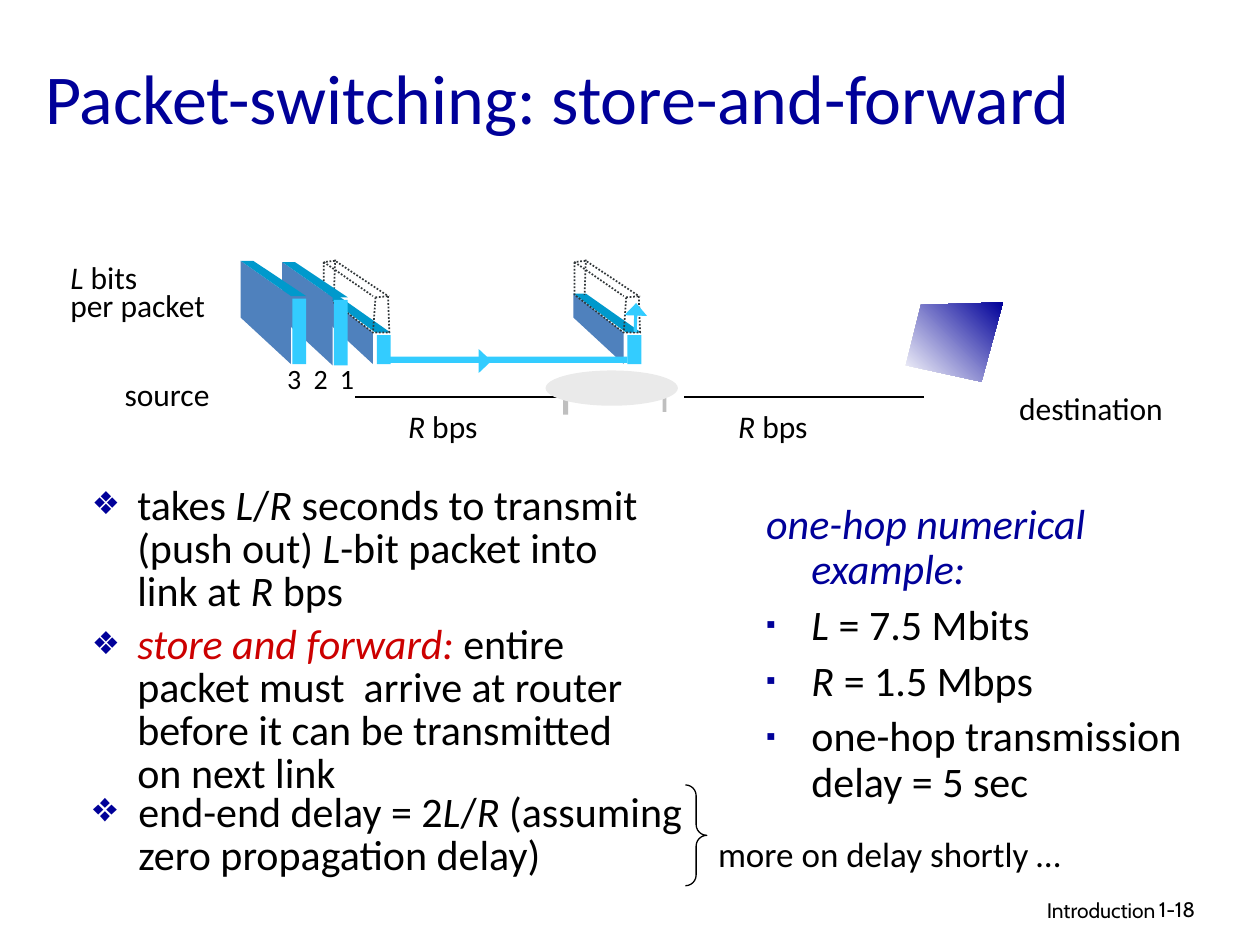
from lxml.etree import SubElement
from pptx import Presentation
from pptx.dml.color import RGBColor as RGB
from pptx.enum.dml import MSO_LINE_DASH_STYLE as Dash
from pptx.enum.shapes import MSO_CONNECTOR as Connector, MSO_SHAPE as Shape
from pptx.enum.text import MSO_ANCHOR as Anchor, MSO_AUTO_SIZE as AutoSize, PP_ALIGN as Align
from pptx.oxml.ns import qn
from pptx.util import Inches, Pt

NAVY = RGB(0x00, 0x00, 0x99)
RED = RGB(0xCC, 0x00, 0x00)
BLACK = RGB(0x00, 0x00, 0x00)
WHITE = RGB(0xFF, 0xFF, 0xFF)
SIDE_BLUE = RGB(0x4F, 0x81, 0xBD)
LID_BLUE = RGB(0x00, 0x99, 0xCC)
FRONT_BLUE = RGB(0x33, 0xCC, 0xFF)
DOTTED = RGB(0x31, 0x37, 0x39)
ROUTER_GREY = RGB(0xEA, 0xEA, 0xEA)
LEG_GREY = RGB(0xBF, 0xBF, 0xBF)


def write(paragraph, marked, size, color=BLACK, face="Calibri"):
    for position, part in enumerate(marked.split("*")):
        if part:
            run = paragraph.add_run()
            run.text = part
            if position % 2:
                run.font.italic = True
    font = paragraph.font
    font.size, font.name = Pt(size), face
    font.color.rgb = color


def set_bullet(paragraph, mark, percent, indent):
    properties = paragraph._p.get_or_add_pPr()
    properties.set("marL", str(Inches(indent)))
    properties.set("indent", str(-Inches(0.36)))
    if not mark:
        SubElement(properties, qn("a:buNone"))
        return
    tint = SubElement(properties, qn("a:buClr"))
    SubElement(tint, qn("a:srgbClr"), val=str(NAVY))
    SubElement(properties, qn("a:buSzPct"), val=str(percent * 1000))
    SubElement(properties, qn("a:buChar"), char=mark)


def write_list(frame, entries, percent, indent, spacing):
    frame.word_wrap = True
    frame.auto_size = AutoSize.NONE
    for position, (mark, marked, color) in enumerate(entries):
        paragraph = frame.add_paragraph() if position else frame.paragraphs[0]
        set_bullet(paragraph, mark, percent, indent)
        paragraph.space_before = Pt(6 if position else 0)
        paragraph.line_spacing = spacing
        write(paragraph, marked, 24, color)


def place(holder, box):
    holder.left, holder.top, holder.width, holder.height = map(Inches, box)
    return holder.text_frame


def label(slide, box, marked, size, face="Calibri", align=Align.LEFT, leading=None):
    frame = slide.shapes.add_textbox(*map(Inches, box)).text_frame
    frame.word_wrap = True
    for position, line in enumerate(marked.split("\n")):
        paragraph = frame.add_paragraph() if position else frame.paragraphs[0]
        paragraph.alignment = align
        if leading:
            paragraph.line_spacing = Pt(leading)
        write(paragraph, line, size, face=face)


def solid(slide, kind, box, color):
    block = slide.shapes.add_shape(kind, *map(Inches, box))
    block.shadow.inherit = False
    block.fill.solid()
    block.fill.fore_color.rgb = color
    block.line.fill.background()
    return block


def arrow(slide, box, head, rotation=0):
    pointer = solid(slide, Shape.RIGHT_ARROW, box, FRONT_BLUE)
    pointer.adjustments[0], pointer.adjustments[1] = 0.14, head
    pointer.rotation = rotation


def polygon(slide, left, top, points, color=None):
    corners = [(Inches(left + x), Inches(top + y)) for x, y in points]
    builder = slide.shapes.build_freeform(*corners[0])
    builder.add_line_segments(corners[1:], close=True)
    outline = builder.convert_to_shape()
    outline.shadow.inherit = False
    if color is None:
        outline.fill.background()
    else:
        outline.fill.solid()
        outline.fill.fore_color.rgb = color
        outline.line.fill.background()
    return outline


def dot(line):
    line.color.rgb = DOTTED
    line.width = Pt(1)
    line.dash_style = Dash.ROUND_DOT


def straight(slide, start, end):
    connector = slide.shapes.add_connector(Connector.STRAIGHT, *map(Inches, start + end))
    SubElement(connector._element.spPr, qn("a:effectLst"))
    connector.line.color.rgb = BLACK
    connector.line.width = Pt(1.5)
    return connector


def packet(slide, left, top, depth=0.82, rise=0.28, front=0.41):
    polygon(slide, left, top,
            [(0, 0), (0, depth - 0.37), (0.4, depth), (0.4, rise)], SIDE_BLUE)
    polygon(slide, left, top,
            [(0.1, 0), (0, 0), (front - 0.01, rise), (front + 0.11, rise)], LID_BLUE)
    solid(slide, Shape.RECTANGLE,
          (left + front, top + rise + 0.02, 0.11, depth - rise - 0.02), FRONT_BLUE)


def partial_packet(slide, left, top):
    packet(slide, left, top, depth=0.56, rise=0.31, front=0.43)
    sent = polygon(slide, left, top, [(0.01, -0.25), (0.01, 0.01), (0.4, 0.31),
                                      (0.53, 0.31), (0.52, 0.02), (0.1, -0.26)])
    dot(sent.line)
    edges = [((0.01, -0.25), (0.4, 0.02)), ((0.42, 0.03), (0.53, 0.02)),
             ((0.42, 0.03), (0.4, 0.31)), ((0.1, -0.27), (0.09, 0.01))]
    for (x1, y1), (x2, y2) in edges:
        edge = straight(slide, (left + x1, top + y1), (left + x2, top + y2))
        dot(edge.line)


def router(slide, left, top):
    solid(slide, Shape.RECTANGLE, (left + 0.93, top + 0.21, 0.03, 0.12), LEG_GREY)
    solid(slide, Shape.RECTANGLE, (left + 0.14, top + 0.23, 0.04, 0.12), LEG_GREY)
    solid(slide, Shape.OVAL, (left, top, 1.05, 0.28), ROUTER_GREY)


def destination_screen(slide, left, top):
    screen = polygon(slide, left, top,
                     [(0.77, 0), (0.12, 0.02), (0, 0.5), (0.6, 0.63)], WHITE)
    screen.fill.gradient()
    screen.fill.gradient_angle = 45
    for stop, color in zip(screen.fill.gradient_stops, (WHITE, NAVY)):
        stop.color.rgb = color


def network_diagram(slide, left, top):
    for offset in (2.36, 4.97):
        straight(slide, (left + offset, top + 1.08), (left + offset + 1.9, top + 1.08))
    router(slide, left + 3.87, top + 0.87)
    destination_screen(slide, left + 6.73, top + 0.33)

    for offset in (4.09, 2.1):
        partial_packet(slide, left + offset, top + 0.26)
    packet(slide, left + 1.78, top + 0.01)
    packet(slide, left + 1.45, top)
    solid(slide, Shape.RECTANGLE, (left + 2.57, top + 0.76, 1.95, 0.05), FRONT_BLUE)
    arrow(slide, (left + 3.22, top + 0.7, 0.22, 0.19), 0.53)
    arrow(slide, (left + 4.47, top + 0.36, 0.23, 0.18), 0.55, 272)

    label(slide, (left, top + 0.01, 1.53, 0.55), "*L* bits\nper packet", 18, leading=16)
    label(slide, (left + 0.43, top + 0.86, 1.03, 0.4), "source", 18)
    label(slide, (left + 7.53, top + 0.97, 1.6, 0.4), "destination", 18)
    for offset in (2.68, 5.3):
        label(slide, (left + offset, top + 1.11, 0.9, 0.4), "*R* bps", 18)
    for position, number in enumerate("321"):
        label(slide, (left + 1.72 + 0.21 * position, top + 0.75, 0.34, 0.37), number, 16)


def heading(slide, box):
    frame = place(slide.shapes.title, box)
    frame.vertical_anchor = Anchor.MIDDLE
    frame.auto_size = AutoSize.NONE
    frame.paragraphs[0].alignment = Align.LEFT
    write(frame.paragraphs[0], "Packet-switching: store-and-forward", 40, NAVY)


def transmission_points(slide, left, top):
    frame = place(slide.placeholders[1], (left, top, 4.58, 2.6))
    write_list(frame, [
        ("❖", "takes *L*/*R* seconds to transmit (push out) *L*-bit packet into "
              "link at *R* bps", BLACK),
        ("❖", "*store and forward: *entire packet must  arrive at router before "
              "it can be transmitted on next link", BLACK),
    ], 75, 0.36, 0.85)
    frame.paragraphs[1].runs[0].font.color.rgb = RED

    delay = slide.shapes.add_textbox(*map(Inches, (left + 0.01, top + 2.44, 5.03, 1.05)))
    write_list(delay.text_frame, [
        ("❖", "end-end delay = 2*L*/*R* (assuming zero propagation delay)", BLACK),
    ], 100, 0.36, 0.85)

    brace = slide.shapes.add_shape(
        Shape.RIGHT_BRACE, *map(Inches, (left + 4.81, top + 2.42, 0.17, 0.8)))
    brace.shadow.inherit = False
    brace.adjustments[0], brace.adjustments[1] = 0.5, 0.5
    brace.fill.background()
    brace.line.color.rgb = BLACK
    brace.line.width = Pt(0.75)
    label(slide, (left + 4.97, top + 2.75, 3.61, 0.44), "more on delay shortly …", 20)


def numerical_example(slide, box):
    write_list(place(slide.placeholders[2], box), [
        (None, "*one-hop numerical example:*", NAVY),
        ("▪", "*L* = 7.5 Mbits", BLACK),
        ("▪", "*R* = 1.5 Mbps", BLACK),
        ("▪", "one-hop transmission delay = 5 sec", BLACK),
    ], 65, 0.37, 0.9)


def footer(slide, left, top):
    label(slide, (left, top, 3.17, 0.31), "Introduction", 12, "Cabin", Align.RIGHT)
    label(slide, (left + 3, top, 0.74, 0.3), "1-18", 12, "Cabin")


def main():
    deck = Presentation()
    deck.slide_width, deck.slide_height = Inches(10), Inches(7.5)
    slide = deck.slides.add_slide(deck.slide_layouts[3])
    heading(slide, (0.26, 0.31, 8.96, 0.91))
    network_diagram(slide, 0.46, 2.07)
    transmission_points(slide, 0.63, 3.81)
    numerical_example(slide, (5.97, 3.94, 3.84, 2.44))
    footer(slide, 6.1, 7.07)
    deck.save("out.pptx")


if __name__ == "__main__":
    main()
